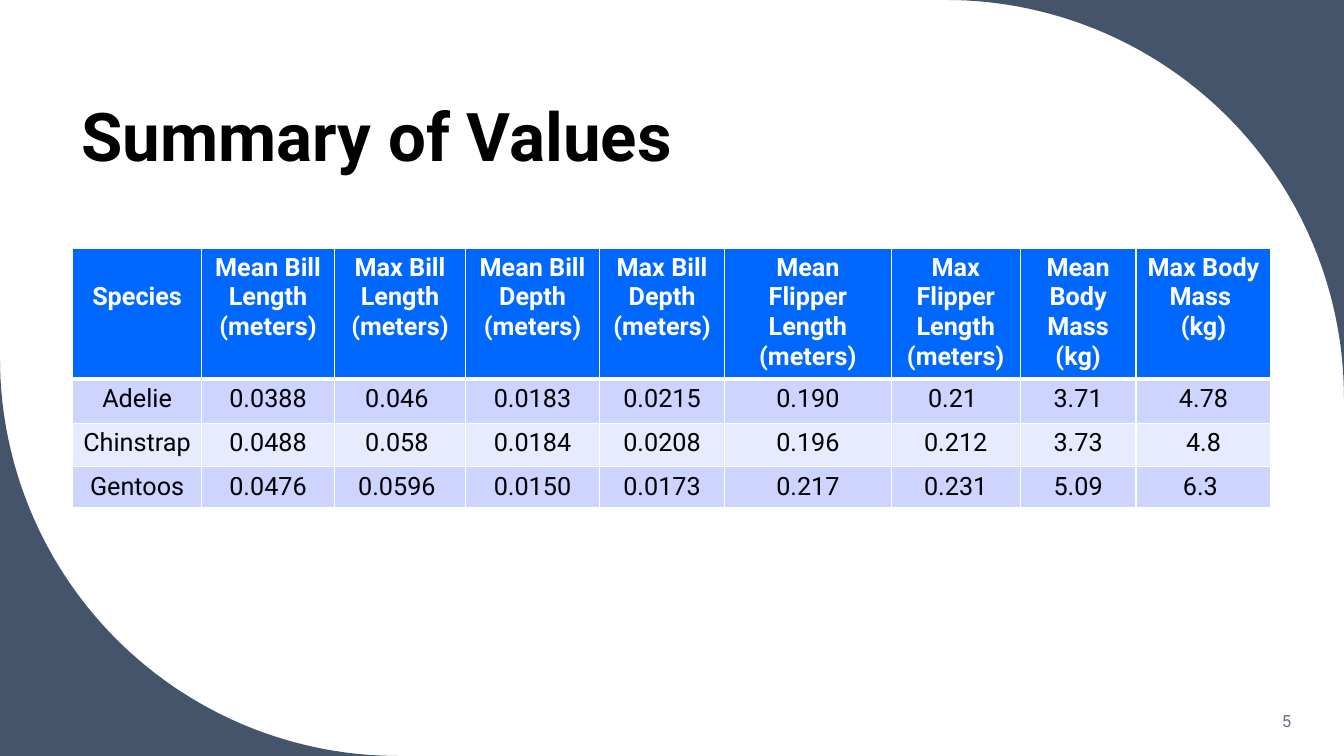
import math
from lxml import etree
from pptx import Presentation
from pptx import util as u
from pptx.dml.color import RGBColor
from pptx.enum import text
from pptx.oxml import ns

SLATE = RGBColor(0x44, 0x54, 0x6A)
GREY = RGBColor(0x63, 0x71, 0x83)
BLUE = RGBColor(0x00, 0x68, 0xFF)
LILAC = RGBColor(0xCC, 0xD4, 0xFF)
PALE = RGBColor(0xE7, 0xEB, 0xFF)
BLACK = RGBColor(0, 0, 0)
WHITE = RGBColor(255, 255, 255)

FONT = "Roboto"
LEFT, MID, RIGHT = text.PP_ALIGN.LEFT, text.PP_ALIGN.CENTER, text.PP_ALIGN.RIGHT
WIDE, HIGH, CURVE = 33.87, 19.05, 10.03

HEADS = [
    "Species", "Mean Bill Length (meters)", "Max Bill Length (meters)",
    "Mean Bill Depth (meters)", "Max Bill Depth (meters)",
    "Mean Flipper Length (meters)", "Max Flipper Length (meters)",
    "Mean Body Mass (kg)", "Max Body Mass \n(kg)",
]
BIRDS = [
    ["Adelie", "0.0388", "0.046 ", "0.0183", "0.0215", "0.190", "0.21 ", "3.71", "4.78"],
    ["Chinstrap", "0.0488", "0.058 ", "0.0184", "0.0208", "0.196", "0.212", "3.73", "4.8"],
    ["Gentoos", "0.0476", "0.0596 ", "0.0150", "0.0173", "0.217", "0.231", "5.09", "6.3 "],
]
COLS = [3.25, 3.35, 3.3, 3.38, 3.15, 4.2, 3.25, 2.92, 3.4]
ROWS = [3.2, 1.11, 1.1, 0.97]


def write(frame, words, size=18, color=BLACK, bold=False, align=MID, space=None):
    frame.text = words
    for para in frame.paragraphs:
        para.alignment = align
        para.line_spacing = space
        for run in para.runs:
            run.font.name = FONT
            run.font.size = u.Pt(size)
            run.font.bold = bold
            run.font.color.rgb = color


class Deck:
    def __init__(self):
        self.show = Presentation()
        self.show.slide_width = u.Cm(WIDE)
        self.show.slide_height = u.Cm(HIGH)
        self.page = self.show.slides.add_slide(self.show.slide_layouts[5])

    def place(self, item, x, y, w, h):
        item.left, item.top, item.width, item.height = map(u.Cm, (x, y, w, h))

    def corner(self, x, y, right, down, start):
        arc = [math.radians(start + 1.5 * step) for step in range(61)]
        dots = [(x + CURVE * math.cos(a), y + CURVE * math.sin(a)) for a in arc]
        pen = self.page.shapes.build_freeform(
            u.Cm(x + right * CURVE), u.Cm(y + down * CURVE))
        pen.add_line_segments([(u.Cm(a), u.Cm(b)) for a, b in dots], close=True)
        shape = pen.convert_to_shape()
        shape.shadow.inherit = False
        shape.fill.solid()
        shape.fill.fore_color.rgb = SLATE
        shape.line.fill.background()

    def title(self, words, x, y, w, h):
        item = self.page.shapes.title
        self.place(item, x, y, w, h)
        frame = item.text_frame
        frame.auto_size = text.MSO_AUTO_SIZE.NONE
        frame.vertical_anchor = text.MSO_ANCHOR.BOTTOM
        write(frame, words, size=48, bold=True, align=LEFT, space=0.9)

    def label(self, words, x, y, w, h, **style):
        frame = self.page.shapes.add_textbox(*map(u.Cm, (x, y, w, h))).text_frame
        frame.word_wrap = True
        frame.vertical_anchor = text.MSO_ANCHOR.MIDDLE
        write(frame, words, **style)

    def edge(self, cell, side, width):
        props = cell._tc.get_or_add_tcPr()
        line = etree.SubElement(props, ns.qn(f"a:ln{side}"), w=str(u.Pt(width)))
        fill = etree.SubElement(line, ns.qn("a:solidFill"))
        etree.SubElement(fill, ns.qn("a:srgbClr"), val=str(WHITE))

    def table(self, data, x, y):
        box = map(u.Cm, (x, y, sum(COLS), sum(ROWS)))
        grid = self.page.shapes.add_table(len(data), len(COLS), *box).table
        for col, width in zip(grid.columns, COLS):
            col.width = u.Cm(width)
        for row, height in zip(grid.rows, ROWS):
            row.height = u.Cm(height)
        for r, line in enumerate(data):
            head = r == 0
            for c, words in enumerate(line):
                cell = grid.cell(r, c)
                edges = {"L": 1, "R": 1, "T": 3 if r == 1 else 1, "B": 3 if head else 1}
                for side, width in edges.items():
                    self.edge(cell, side, width)
                cell.fill.solid()
                cell.fill.fore_color.rgb = BLUE if head else LILAC if r % 2 else PALE
                write(cell.text_frame, words, color=WHITE if head else BLACK, bold=head)
        grid.cell(0, 0).margin_top = u.Cm(0.87)


def main():
    deck = Deck()
    deck.corner(WIDE - CURVE, CURVE, 1, -1, -90)
    deck.corner(CURVE, HIGH - CURVE, -1, 1, 90)
    deck.title("Summary of Values", 1.8, 0.89, 27.15, 3.68)
    deck.label("5", 28.19, 17.65, 4.6, 1.02, size=12, color=GREY, align=RIGHT)
    deck.table([HEADS] + BIRDS, 1.83, 6.25)
    deck.show.save("out.pptx")


if __name__ == "__main__":
    main()
